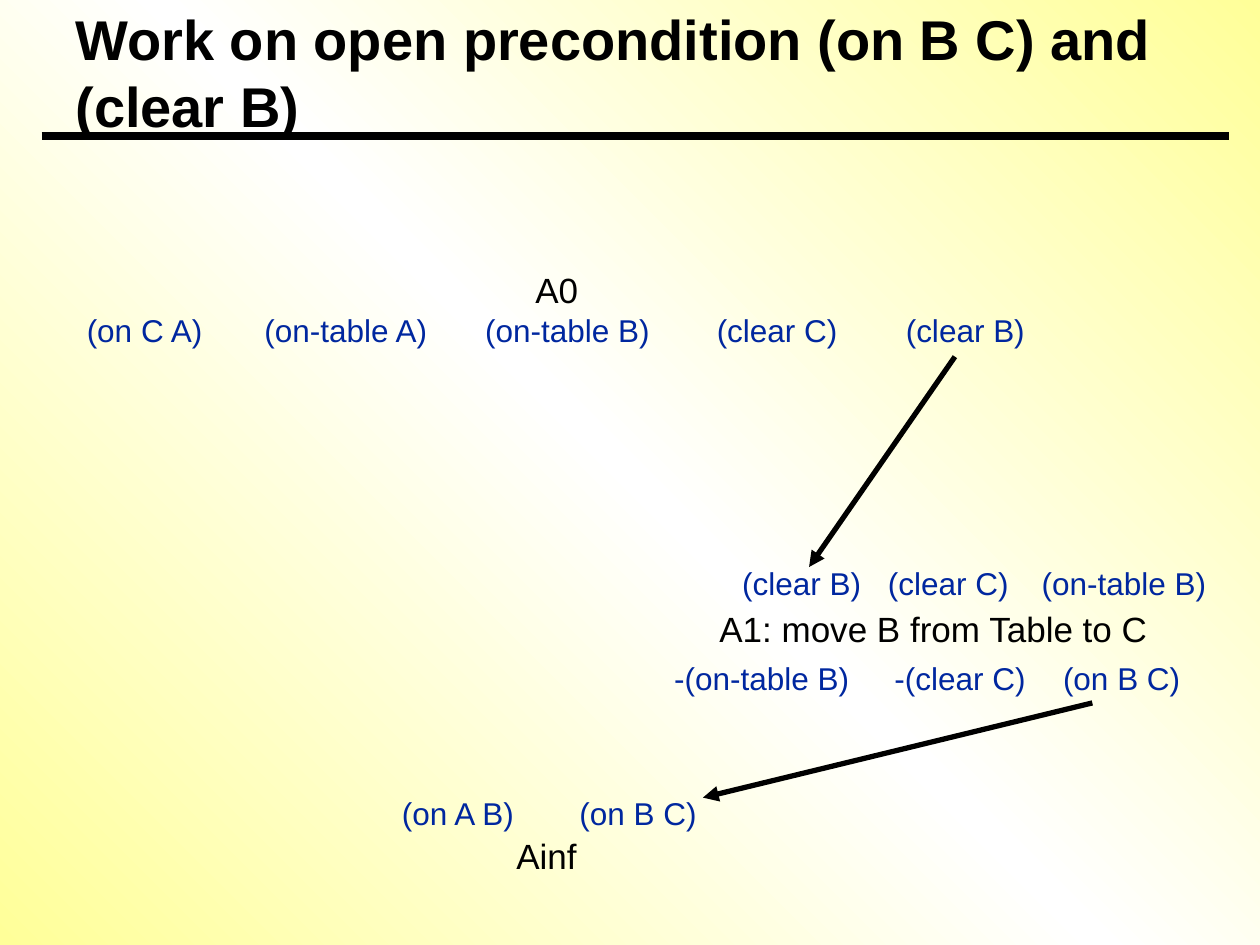
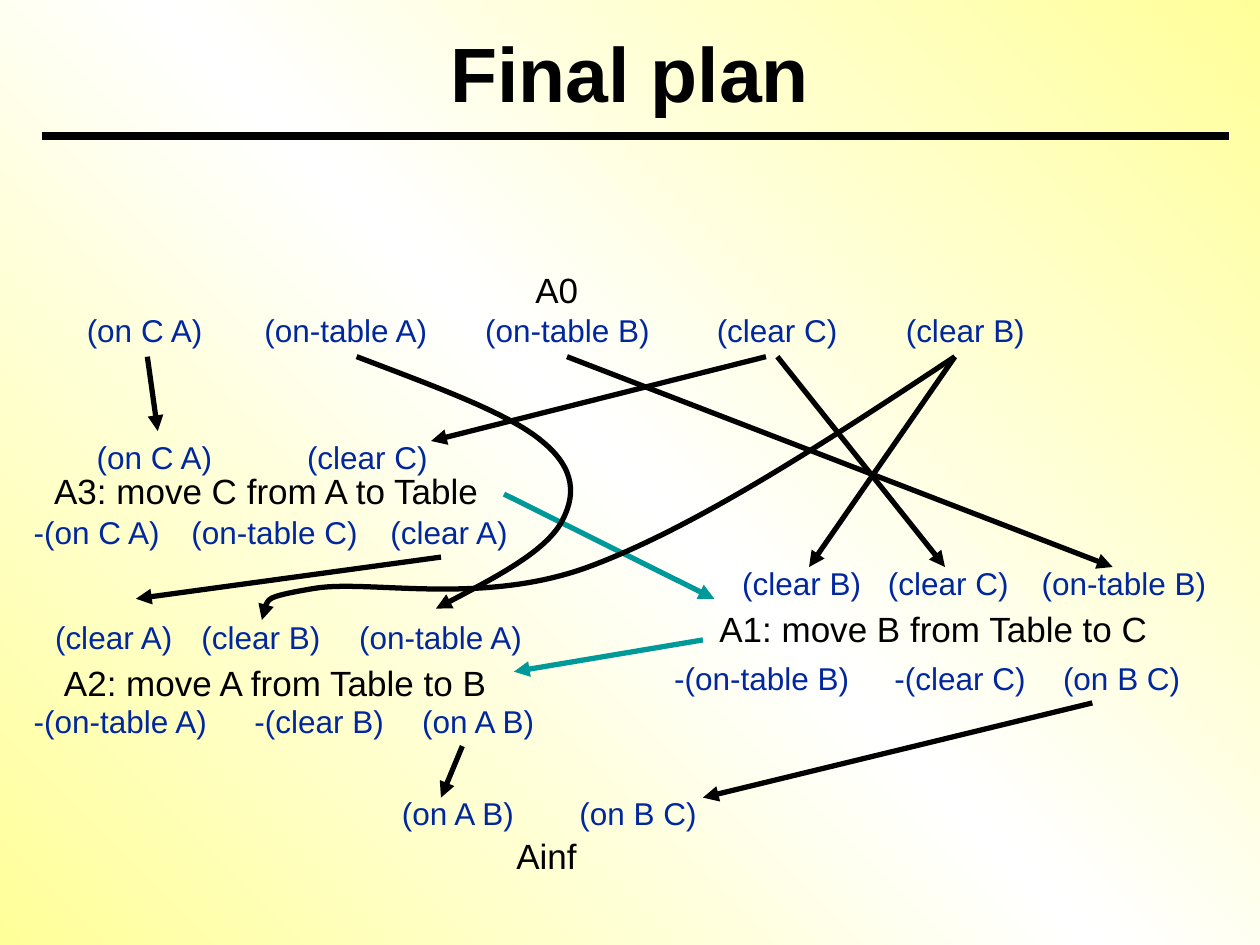
from dataclasses import dataclass

from lxml.etree import SubElement
from pptx import Presentation
from pptx.dml.color import RGBColor as RGB
from pptx.enum.shapes import MSO_CONNECTOR as CONNECTOR
from pptx.enum.text import MSO_ANCHOR as ANCHOR, MSO_AUTO_SIZE as AUTO, PP_ALIGN as ALIGN
from pptx.oxml.ns import qn
from pptx.util import Cm, Pt


@dataclass(frozen=True)
class Theme:
    font: str = "Arial"
    ink: str = "000000"
    condition: str = "00279F"
    ordering: str = "009999"
    backdrop: tuple = ((0, "FFFF99"), (50, "FFFFFF"), (100, "FFFF99"))
    step_size: int = 20
    condition_size: int = 18
    rule_width: float = 4.5
    arrow_width: float = 3


THEME = Theme()

# Each step has a name (text, x, y) and rows of conditions: (y, [(text, x), ...]). Centimetres.
A0 = {"name": ("A0", 10.54, 5.28),
      "rows": [(6.15, [("(on C A)", 1.5), ("(on-table A)", 5.08), ("(on-table B)", 9.53),
                       ("(clear C)", 14.2), ("(clear B)", 18.01)])]}
A1 = {"name": ("A1: move B from Table to C", 14.25, 12.12),
      "rows": [(11.25, [("(clear B)", 14.71), ("(clear C)", 17.65), ("(on-table B)", 20.75)]),
               (13.16, [("-(on-table B)", 13.34), ("-(clear C)", 17.78), ("(on B C)", 21.18)])]}
A2 = {"name": ("A2: move A from Table to B", 1.04, 13.21),
      "rows": [(12.34, [("(clear A)", 0.86), ("(clear B)", 3.81), ("(on-table A)", 6.99)]),
               (14.02, [("-(on-table A)", 0.43), ("-(clear B)", 4.88), ("(on A B)", 8.26)])]}
A3 = {"name": ("A3: move C from A to Table", 0.84, 9.35),
      "rows": [(8.71, [("(on C A)", 1.7), ("(clear C)", 5.94)]),
               (10.21, [("-(on C A)", 0.43), ("(on-table C)", 3.61), ("(clear A)", 7.62)])]}
AINF = {"name": ("Ainf", 10.16, 16.69),
        "rows": [(15.88, [("(on A B)", 7.85), ("(on B C)", 11.43)])]}

A0_EXIT, A1_ENTRY, AINF_ENTRY = 7.19, 11.43, 16.08
FIRST_LINKS = [((19.25, A0_EXIT), (16.31, A1_ENTRY)),
               ((22.02, 14.17), (14.17, AINF_ENTRY))]
LATER_LINKS = [((15.67, A0_EXIT), (19.05, A1_ENTRY)),
               ((11.43, A0_EXIT), (22.43, A1_ENTRY)),
               ((15.44, A0_EXIT), (8.69, 8.89)),
               ((2.97, A0_EXIT), (3.18, 8.69)),
               ((8.89, 11.23), (2.74, 12.07)),
               ((9.32, 15.04), (8.89, AINF_ENTRY))]
ORDERINGS = [((10.16, 9.96), (14.4, 12.07)),
             ((14.17, 12.9), (10.36, 13.54))]
# Start point, then two control points and an end point for every bend.
CURVES = [[(7.19, A0_EXIT), (8.71, 7.77), (10.26, 8.33), (10.92, 8.89),
           (11.61, 9.45), (11.63, 10.01), (11.28, 10.59),
           (10.92, 11.15), (9.86, 11.71), (8.79, 12.27)],
          [(19.25, A0_EXIT), (16.64, 8.92), (14, 10.64), (11.86, 11.43),
           (9.7, 12.22), (7.44, 11.68), (6.35, 11.86),
           (5.26, 12.04), (5.28, 12.27), (5.28, 12.5)]]

SLIDES = [
    {"title": ("Work on open precondition (on B C) and (clear B)", 32, ALIGN.LEFT),
     "steps": [A0, A1, AINF], "links": FIRST_LINKS, "orderings": [], "curves": []},
    {"title": ("Final plan", 44, ALIGN.CENTER),
     "steps": [A0, A1, A2, A3, AINF], "links": FIRST_LINKS + LATER_LINKS,
     "orderings": ORDERINGS, "curves": CURVES},
]

# Arial advance widths in em, for the characters that are not 0.556 wide.
ADVANCE = {char: width for chars, width in
           (("()-r", 0.333), (" f:", 0.278), ("il", 0.222), ("cv", 0.5),
            ("AB", 0.667), ("C", 0.722), ("T", 0.611), ("m", 0.833)) for char in chars}


def text_width(text, size):
    """Width in cm of a one-line box, side margins included."""
    return sum(ADVANCE.get(char, 0.556) for char in text) * size / 72 * 2.54 + 0.51


def assign(target, values):
    for name, value in values.items():
        setattr(target, name, value)


def add_text(slide, text, box, size, color, bold=False, align=ALIGN.LEFT, **frame_format):
    frame = slide.shapes.add_textbox(*map(Cm, box)).text_frame
    assign(frame, frame_format)
    paragraph = frame.paragraphs[0]
    paragraph.text, paragraph.alignment = text, align
    font = paragraph.runs[0].font
    assign(font, {"name": THEME.font, "size": Pt(size), "bold": bold})
    font.color.rgb = RGB.from_string(color)


def add_label(slide, text, x, y, size, color):
    box = (x, y, text_width(text, size), size * 0.056)
    add_text(slide, text, box, size, color, word_wrap=False, auto_size=AUTO.SHAPE_TO_FIT_TEXT)


def style_line(line, color, width, arrow):
    line.color.rgb = RGB.from_string(color)
    line.width = Pt(width)
    if arrow:
        SubElement(line._get_or_add_ln(), qn("a:tailEnd"), type="triangle")


def add_line(slide, start, end, color=THEME.ink, width=THEME.arrow_width, arrow=True):
    line = slide.shapes.add_connector(CONNECTOR.STRAIGHT, *map(Cm, start + end))
    style_line(line.line, color, width, arrow)
    SubElement(line._element.spPr, qn("a:effectLst"))


def add_curve(slide, points):
    start, *rest = [tuple(map(Cm, point)) for point in points]
    builder = slide.shapes.build_freeform(*start)
    builder.add_line_segments(rest, close=False)
    curve = builder.convert_to_shape()
    outline = curve._element.find(".//" + qn("a:path"))
    segments = outline.findall(qn("a:lnTo"))
    for first in range(0, len(segments), 3):
        bend = SubElement(outline, qn("a:cubicBezTo"))
        for segment in segments[first:first + 3]:
            bend.append(segment[0])
            outline.remove(segment)
    curve.fill.background()
    style_line(curve.line, THEME.ink, THEME.arrow_width, True)
    curve.shadow.inherit = False


def paint_backdrop(master):
    fill = master.background.fill
    fill.gradient()
    fill.gradient_angle = 45
    stops = master._element.find(".//" + qn("p:bg")).find(".//" + qn("a:gsLst"))
    for stop in list(stops):
        stops.remove(stop)
    for percent, color in THEME.backdrop:
        stop = SubElement(stops, qn("a:gs"), pos=str(percent * 1000))
        SubElement(stop, qn("a:srgbClr"), val=color)


def add_plan(deck, plan):
    slide = deck.slides.add_slide(deck.slide_layouts[6])
    add_line(slide, (0.84, 2.74), (24.77, 2.74), width=THEME.rule_width, arrow=False)
    title, size, align = plan["title"]
    add_text(slide, title, (1.27, 0.43, 22.86, 2.03), size, THEME.ink, bold=True, align=align,
             word_wrap=True, vertical_anchor=ANCHOR.MIDDLE)
    for step in plan["steps"]:
        add_label(slide, *step["name"], THEME.step_size, THEME.ink)
        for y, conditions in step["rows"]:
            for text, x in conditions:
                add_label(slide, text, x, y, THEME.condition_size, THEME.condition)
    for start, end in plan["links"]:
        add_line(slide, start, end)
    for start, end in plan["orderings"]:
        add_line(slide, start, end, THEME.ordering)
    for points in plan["curves"]:
        add_curve(slide, points)


def main():
    deck = Presentation()
    assign(deck, {"slide_width": Cm(25.4), "slide_height": Cm(19.05)})
    paint_backdrop(deck.slide_master)
    for plan in SLIDES:
        add_plan(deck, plan)
    deck.save("out.pptx")


if __name__ == "__main__":
    main()
